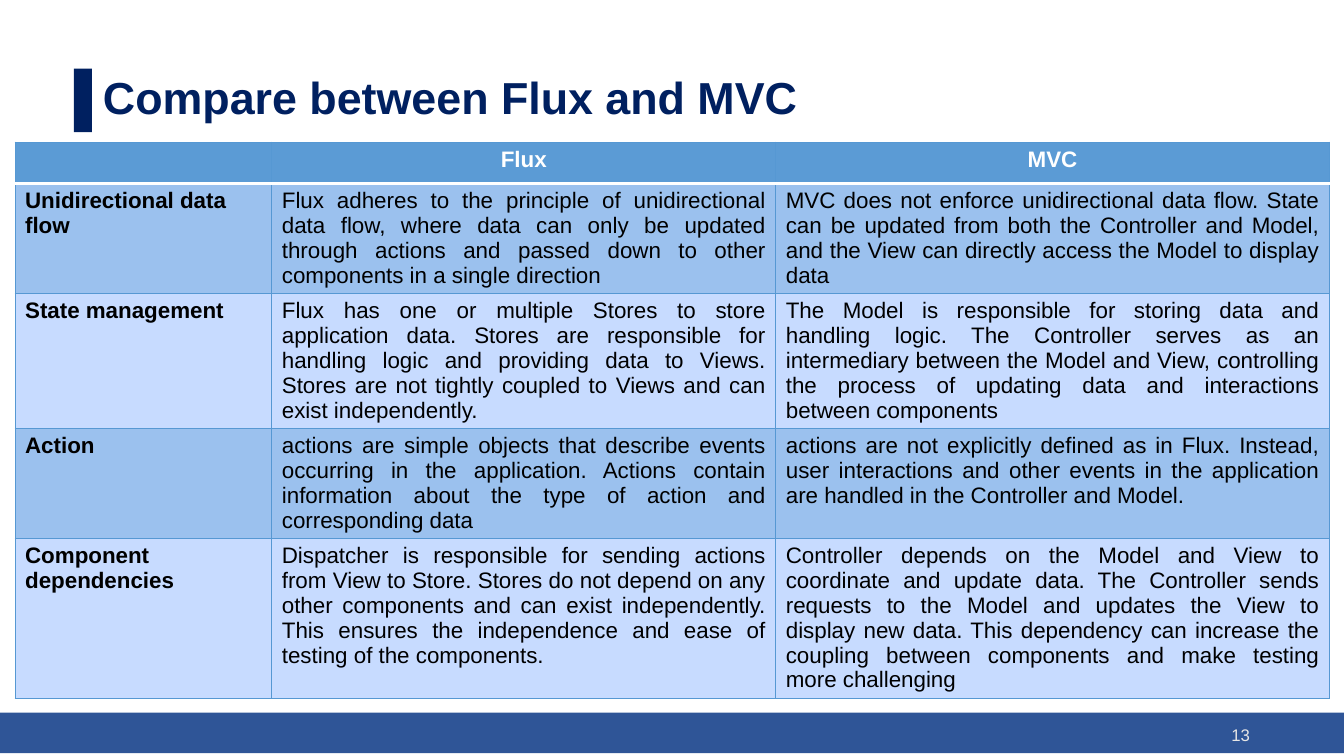
from lxml import etree
from pptx import Presentation
from pptx.dml.color import RGBColor
from pptx.enum.shapes import MSO_SHAPE
from pptx.enum.text import MSO_ANCHOR, PP_ALIGN
from pptx.oxml.ns import qn
from pptx.util import Cm, Pt

RECTANGLE = MSO_SHAPE.RECTANGLE
MIDDLE = MSO_ANCHOR.MIDDLE
LEFT, CENTER, RIGHT, JUSTIFY = PP_ALIGN.LEFT, PP_ALIGN.CENTER, PP_ALIGN.RIGHT, PP_ALIGN.JUSTIFY

COLORS = {
    "navy": "002060",
    "footer": "2F5597",
    "number": "E7E6E6",
    "header": "5B9BD5",
    "band_dark": "9BC1EE",
    "band_light": "C7DBFF",
    "border": "5698D3",
    "white": "FFFFFF",
    "black": "000000",
}

HEADINGS = ["", "Flux", "MVC"]
ROWS = [
    ["Unidirectional data flow",
     "Flux adheres to the principle of unidirectional data flow, where data can only be updated through actions and passed down to other components in a single direction",
     "MVC does not enforce unidirectional data flow. State can be updated from both the Controller and Model, and the View can directly access the Model to display data"],
    ["State management",
     "Flux has one or multiple Stores to store application data. Stores are responsible for handling logic and providing data to Views. Stores are not tightly coupled to Views and can exist independently.",
     "The Model is responsible for storing data and handling logic. The Controller serves as an intermediary between the Model and View, controlling the process of updating data and interactions between components"],
    ["Action",
     "actions are simple objects that describe events occurring in the application. Actions contain information about the type of action and corresponding data",
     "actions are not explicitly defined as in Flux. Instead, user interactions and other events in the application are handled in the Controller and Model."],
    ["Component dependencies",
     "Dispatcher is responsible for sending actions from View to Store. Stores do not depend on any other components and can exist independently. This ensures the independence and ease of testing of the components.",
     "Controller depends on the Model and View to coordinate and update data. The Controller sends requests to the Model and updates the View to display new data. This dependency can increase the coupling between components and make testing more challenging"],
]
COLUMN_WIDTHS = [6.47, 12.7, 13.95]
ROW_HEIGHTS = [1.04, 2.77, 3.4, 2.77, 4.03]
TABLE_LINE_SPACING = Pt(17.8)


def write_text(frame, text, size=16, color="black", bold=False, align=LEFT, spacing=None):
    paragraph = frame.paragraphs[0]
    paragraph.alignment = align
    paragraph.line_spacing = spacing
    run = paragraph.add_run()
    run.text = text
    run.font.name = "Arial"
    run.font.size = Pt(size)
    run.font.bold = bold
    run.font.color.rgb = RGBColor.from_string(COLORS[color])


def add_border(cell, side, color, width):
    properties = cell._tc.get_or_add_tcPr()
    line = etree.SubElement(properties, qn(f"a:ln{side}"), w=str(Pt(width)))
    fill = etree.SubElement(line, qn("a:solidFill"))
    etree.SubElement(fill, qn("a:srgbClr"), val=COLORS[color])


presentation = Presentation()
presentation.slide_width = Cm(33.87)
presentation.slide_height = Cm(19.05)
slide = presentation.slides.add_slide(presentation.slide_layouts[5])

title = slide.shapes.title
title.left, title.top, title.width, title.height = Cm(2.34), Cm(1.73), Cm(29.21), Cm(1.6)
title.fill.solid()
title.fill.fore_color.rgb = RGBColor.from_string(COLORS["white"])
title.text_frame.vertical_anchor = MIDDLE
write_text(title.text_frame, "Compare between Flux and MVC", size=32, color="navy",
           bold=True, spacing=0.9)

for left, top, width, height, color in [
    (0, 17.96, 33.87, 1.02, "footer"),
    (1.86, 1.73, 0.46, 1.6, "navy"),
]:
    bar = slide.shapes.add_shape(RECTANGLE, Cm(left), Cm(top), Cm(width), Cm(height))
    bar.shadow.inherit = False
    bar.fill.solid()
    bar.fill.fore_color.rgb = RGBColor.from_string(COLORS[color])
    bar.line.fill.background()

number_box = slide.shapes.add_textbox(Cm(24.13), Cm(18.01), Cm(7.62), Cm(1.02))
number_box.text_frame.word_wrap = True
number_box.text_frame.vertical_anchor = MIDDLE
write_text(number_box.text_frame, "13", size=12, color="number", align=RIGHT)

table = slide.shapes.add_table(len(ROW_HEIGHTS), len(COLUMN_WIDTHS), Cm(0.38), Cm(3.58),
                               Cm(sum(COLUMN_WIDTHS)), Cm(sum(ROW_HEIGHTS))).table
for column, width in zip(table.columns, COLUMN_WIDTHS):
    column.width = Cm(width)
for row, height in zip(table.rows, ROW_HEIGHTS):
    row.height = Cm(height)

for row_index, texts in enumerate([HEADINGS] + ROWS):
    is_header = row_index == 0
    band = "header" if is_header else "band_dark" if row_index % 2 else "band_light"
    for column_index, text in enumerate(texts):
        cell = table.cell(row_index, column_index)
        is_label = column_index == 0
        if text:
            write_text(cell.text_frame, text,
                       color="white" if is_header else "black",
                       bold=is_header or is_label,
                       align=CENTER if is_header else LEFT if is_label else JUSTIFY,
                       spacing=TABLE_LINE_SPACING)
        for side in "LRTB":
            under_header = (row_index, side) in [(0, "B"), (1, "T")]
            add_border(cell, side, "white" if under_header else "border",
                       2 if under_header else 0.75)
        cell.fill.solid()
        cell.fill.fore_color.rgb = RGBColor.from_string(COLORS[band])

presentation.save("out.pptx")
